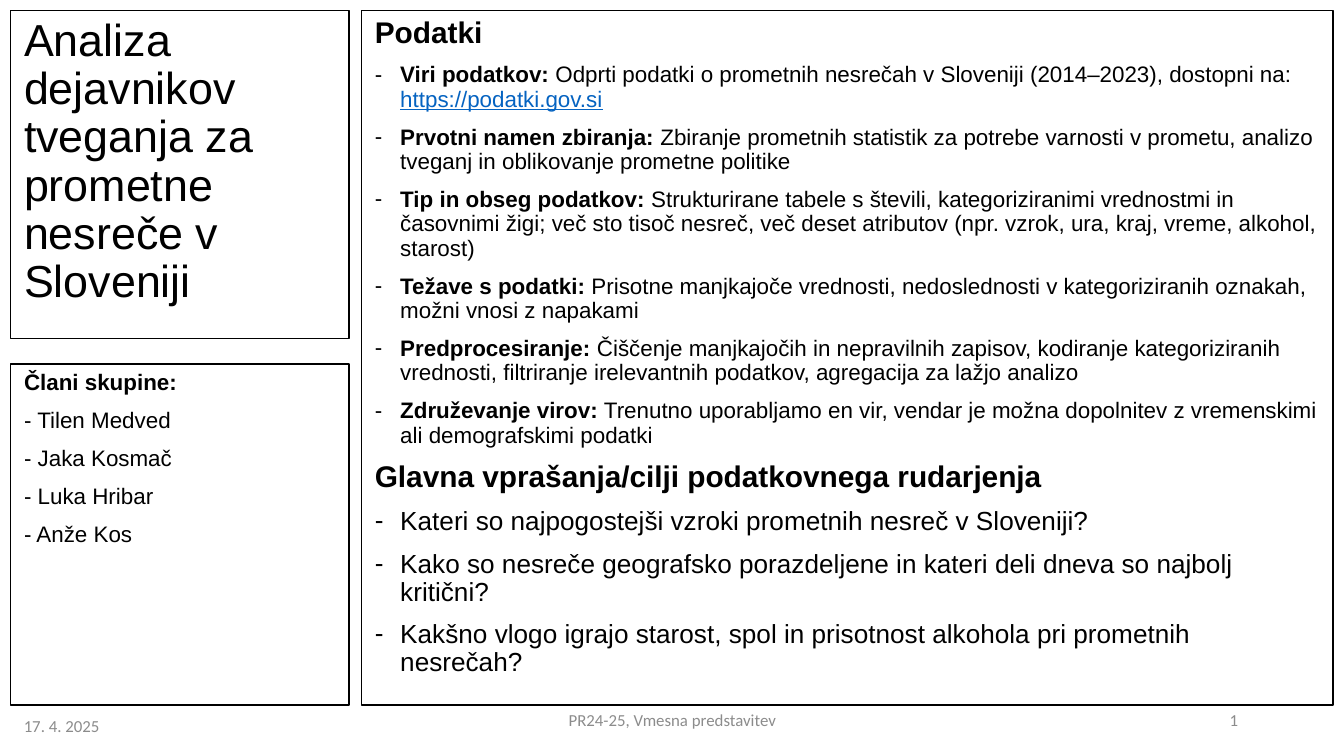
from lxml.etree import SubElement
from pptx import Presentation
from pptx.dml.color import RGBColor
from pptx.enum.text import MSO_ANCHOR, MSO_AUTO_SIZE, PP_ALIGN
from pptx.oxml.ns import qn
from pptx.util import Cm, Pt

TITLE = "Analiza dejavnikov tveganja za prometne nesreče v Sloveniji"
MEMBERS_HEADING = "Člani skupine:"
MEMBERS = ["Tilen Medved", "Jaka Kosmač", "Luka Hribar", "Anže Kos"]
DATA_HEADING = "Podatki"
DATA_POINTS = [
    ("Viri podatkov:", " Odprti podatki o prometnih nesrečah v Sloveniji (2014–2023), dostopni na: ",
     "https://podatki.gov.si"),
    ("Prvotni namen zbiranja:", " Zbiranje prometnih statistik za potrebe varnosti v prometu, "
     "analizo tveganj in oblikovanje prometne politike"),
    ("Tip in obseg podatkov:", " Strukturirane tabele s števili, kategoriziranimi vrednostmi in "
     "časovnimi žigi; več sto tisoč nesreč, več deset atributov "
     "(npr. vzrok, ura, kraj, vreme, alkohol, starost)"),
    ("Težave s podatki:", " Prisotne manjkajoče vrednosti, nedoslednosti v kategoriziranih oznakah, "
     "možni vnosi z napakami"),
    ("Predprocesiranje:", " Čiščenje manjkajočih in nepravilnih zapisov, kodiranje kategoriziranih "
     "vrednosti, filtriranje irelevantnih podatkov, agregacija za lažjo analizo"),
    ("Združevanje virov:", " Trenutno uporabljamo en vir, vendar je možna dopolnitev z vremenskimi "
     "ali demografskimi podatki"),
]
QUESTIONS_HEADING = "Glavna vprašanja/cilji podatkovnega rudarjenja"
QUESTIONS = [
    "Kateri so najpogostejši vzroki prometnih nesreč v Sloveniji?",
    "Kako so nesreče geografsko porazdeljene in kateri deli dneva so najbolj kritični?",
    "Kakšno vlogo igrajo starost, spol in prisotnost alkohola pri prometnih nesrečah?",
]
FOOTERS = [
    ("17. 4. 2025", 0.2, 13.34, 10.44, PP_ALIGN.LEFT),
    ("PR24-25, Vmesna predstavitev", 8.41, 13.23, 8.59, PP_ALIGN.CENTER),
    ("1", 17.93, 13.23, 5.72, PP_ALIGN.RIGHT),
]

THEME = {
    "font": "Arial", "footer_font": "Calibri",
    "text": RGBColor(0, 0, 0), "link": RGBColor(0x05, 0x63, 0xC1),
    "footer": RGBColor(0x8C, 0x8C, 0x8C),
    "title_size": 24, "heading_size": 16, "question_size": 14,
    "detail_size": 12, "footer_size": 9,
    "line_spacing": 0.9, "space_before": 7.5,
}
MARGIN = 0.2
TOTAL_HEIGHT = 13.13
LEFT_WIDTH = 6.4
TITLE_HEIGHT = 6.2
MEMBERS_HEIGHT = 6.45
CONTENT_LEFT = 6.83
CONTENT_WIDTH = 18.36
FOOTER_HEIGHT = 0.76
INDENT = Cm(0.48)


def place_panel(shape, left, top, width, height):
    shape.left, shape.top, shape.width, shape.height = map(Cm, (left, top, width, height))
    shape.line.color.rgb = THEME["text"]
    shape.line.width = Pt(0.75)
    shape.text_frame.auto_size = MSO_AUTO_SIZE.NONE
    shape.text_frame.vertical_anchor = MSO_ANCHOR.TOP
    return shape.text_frame


def style_run(run, size, bold=False, color=THEME["text"], font=THEME["font"]):
    run.font.size = Pt(size)
    run.font.name = font
    run.font.bold = bold
    run.font.color.rgb = color


def format_paragraph(paragraph, bullet=False, space_before=THEME["space_before"]):
    paragraph.alignment = PP_ALIGN.LEFT
    paragraph.line_spacing = THEME["line_spacing"]
    paragraph.space_before = Pt(space_before)
    properties = paragraph._p.get_or_add_pPr()
    properties.set("marL", str(INDENT if bullet else 0))
    properties.set("indent", str(-INDENT if bullet else 0))
    if bullet:
        SubElement(properties, qn("a:buFontTx"))
        SubElement(properties, qn("a:buChar"), char="-")
    else:
        SubElement(properties, qn("a:buNone"))


def add_line(text_frame, parts, size, bold=False, bullet=False):
    first = text_frame.paragraphs[0]
    paragraph = text_frame.add_paragraph() if first.runs else first
    format_paragraph(paragraph, bullet)
    for part in parts:
        run = paragraph.add_run()
        run.text = part
        style_run(run, size, bold)
    return paragraph


def add_footer(slide, text, left, top, width, alignment):
    text_box = slide.shapes.add_textbox(Cm(left), Cm(top), Cm(width), Cm(FOOTER_HEIGHT))
    text_frame = text_box.text_frame
    text_frame.word_wrap = True
    text_frame.vertical_anchor = MSO_ANCHOR.MIDDLE
    text_frame.text = text
    paragraph = text_frame.paragraphs[0]
    paragraph.alignment = alignment
    style_run(paragraph.runs[0], THEME["footer_size"], color=THEME["footer"],
              font=THEME["footer_font"])


def main():
    presentation = Presentation()
    presentation.slide_width, presentation.slide_height = Cm(25.4), Cm(14.29)
    slide = presentation.slides.add_slide(presentation.slide_layouts[3])
    title, content, members = slide.placeholders

    title_frame = place_panel(title, MARGIN, MARGIN, LEFT_WIDTH, TITLE_HEIGHT)
    title_frame.text = TITLE
    format_paragraph(title_frame.paragraphs[0], space_before=0)
    style_run(title_frame.paragraphs[0].runs[0], THEME["title_size"])

    content_frame = place_panel(content, CONTENT_LEFT, MARGIN, CONTENT_WIDTH, TOTAL_HEIGHT)
    add_line(content_frame, [DATA_HEADING], THEME["heading_size"], bold=True)
    for parts in DATA_POINTS:
        paragraph = add_line(content_frame, parts, THEME["detail_size"], bullet=True)
        paragraph.runs[0].font.bold = True
        for link in paragraph.runs[2:]:
            link.font.color.rgb = THEME["link"]
            link.font.underline = True
    add_line(content_frame, [QUESTIONS_HEADING], THEME["heading_size"], bold=True)
    for question in QUESTIONS:
        add_line(content_frame, [question], THEME["question_size"], bullet=True)

    members_top = MARGIN + TOTAL_HEIGHT - MEMBERS_HEIGHT
    members_frame = place_panel(members, MARGIN, members_top, LEFT_WIDTH, MEMBERS_HEIGHT)
    add_line(members_frame, [MEMBERS_HEADING], THEME["detail_size"], bold=True)
    for member in MEMBERS:
        add_line(members_frame, [f"- {member}"], THEME["detail_size"])

    for footer in FOOTERS:
        add_footer(slide, *footer)
    presentation.save("out.pptx")


if __name__ == "__main__":
    main()
